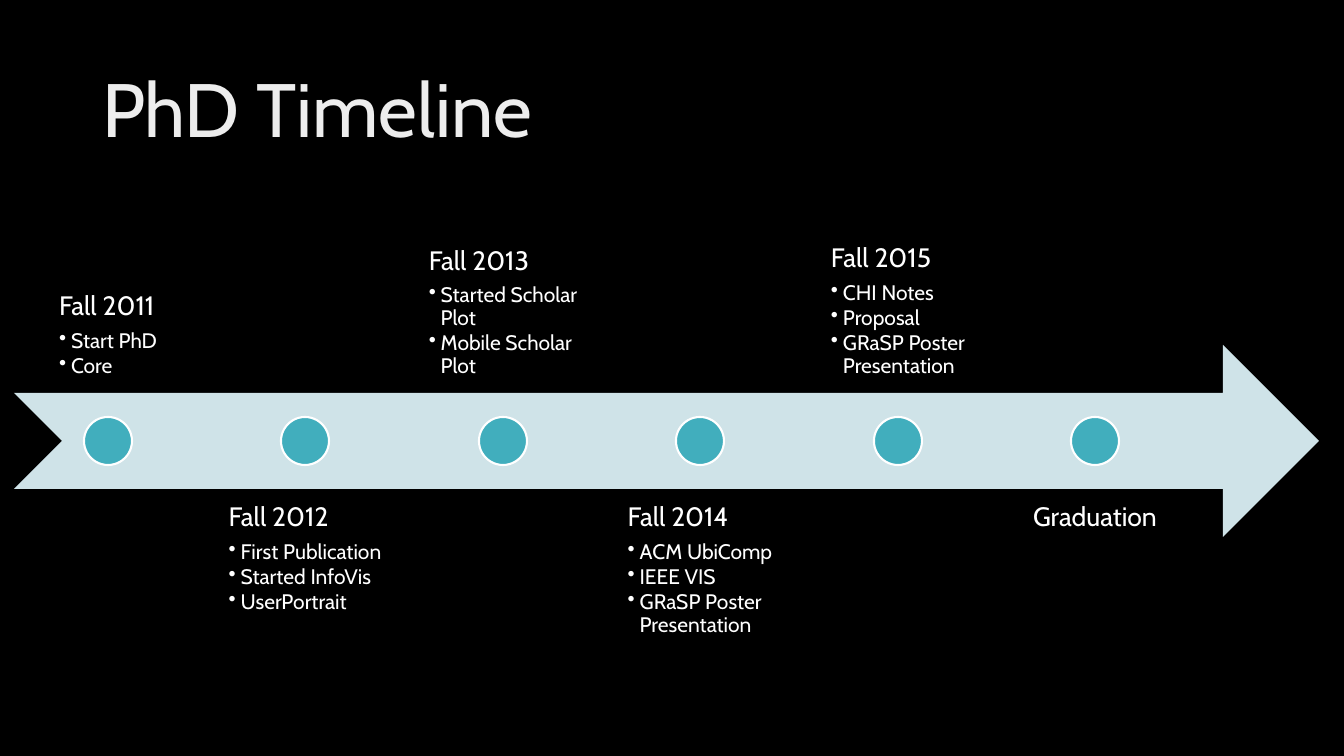
from dataclasses import dataclass

from lxml import etree
from pptx import Presentation
from pptx.dml.color import RGBColor
from pptx.enum.shapes import MSO_SHAPE
from pptx.enum.text import MSO_ANCHOR, MSO_AUTO_SIZE, PP_ALIGN
from pptx.oxml.ns import qn
from pptx.util import Emu, Pt

ARROW = MSO_SHAPE.NOTCHED_RIGHT_ARROW
CIRCLE = MSO_SHAPE.OVAL
TOP, MIDDLE, BOTTOM = MSO_ANCHOR.TOP, MSO_ANCHOR.MIDDLE, MSO_ANCHOR.BOTTOM
LEFT = PP_ALIGN.LEFT
NO_FIT = MSO_AUTO_SIZE.NONE

TITLE_ONLY = 5
PX_PER_INCH = 100.8
SLIDE_WIDTH, SLIDE_HEIGHT = 1344, 756
ARROW_LEFT, ARROW_WIDTH, ARROW_HEIGHT = 14, 1305, 192
AXIS_Y = 441
HALF_SHAFT = ARROW_HEIGHT // 4
FIRST_DOT_X, LAST_DOT_X, DOT_SIZE = 108, 1095, 48
LABEL_WIDTH, LABEL_HEIGHT, LABEL_INSET = 188, 192, 15
BULLET_INDENT = 12


@dataclass(frozen=True)
class Theme:
    font: str = "Cabin"
    background: RGBColor = RGBColor(0x00, 0x00, 0x00)
    title: RGBColor = RGBColor(0xED, 0xED, 0xED)
    text: RGBColor = RGBColor(0xFF, 0xFF, 0xFF)
    arrow: RGBColor = RGBColor(0xCF, 0xE3, 0xE8)
    dot: RGBColor = RGBColor(0x41, 0xAE, 0xBD)
    title_size: float = 54
    heading_size: float = 19
    item_size: float = 15
    heading_gap: float = 6
    item_gap: float = 1.8
    dot_line: float = 1.5


@dataclass(frozen=True)
class Milestone:
    heading: str
    items: tuple[str, ...] = ()


THEME = Theme()
MILESTONES = (
    Milestone("Fall 2011", ("Start PhD", "Core")),
    Milestone("Fall 2012", ("First Publication", "Started InfoVis", "UserPortrait")),
    Milestone("Fall 2013", ("Started Scholar Plot", "Mobile Scholar Plot")),
    Milestone("Fall 2014", ("ACM UbiComp", "IEEE VIS", "GRaSP Poster Presentation")),
    Milestone("Fall 2015", ("CHI Notes", "Proposal", "GRaSP Poster Presentation")),
    Milestone("Graduation"),
)


def px(length: int) -> Emu:
    return Emu(round(length * 914400 / PX_PER_INCH))


def write(paragraph, text: str, *, size: float, color: RGBColor,
          gap: float = 0, bullet: bool = False) -> None:
    if bullet:
        paragraph.level = 1
        properties = paragraph._p.get_or_add_pPr()
        properties.set("marL", str(px(BULLET_INDENT)))
        properties.set("indent", str(-px(BULLET_INDENT)))
        etree.SubElement(properties, qn("a:buChar")).set("char", "•")
    paragraph.alignment = LEFT
    paragraph.line_spacing = 0.9
    paragraph.space_before = Pt(0)
    paragraph.space_after = Pt(gap)
    run = paragraph.add_run()
    run.text = text
    run.font.name = THEME.font
    run.font.size = Pt(size)
    run.font.color.rgb = color


def draw_title(slide, text: str) -> None:
    title = slide.shapes.title
    title.left, title.top, title.width, title.height = map(px, (92, 40, 1159, 146))
    frame = title.text_frame
    frame.auto_size = NO_FIT
    frame.vertical_anchor = MIDDLE
    write(frame.paragraphs[0], text, size=THEME.title_size, color=THEME.title)


def draw_shape(slide, preset, left: int, top: int, width: int, height: int,
               fill: RGBColor, line_width: float = 0) -> None:
    shape = slide.shapes.add_shape(preset, px(left), px(top), px(width), px(height))
    shape.shadow.inherit = False
    shape.fill.solid()
    shape.fill.fore_color.rgb = fill
    if line_width:
        shape.line.color.rgb = THEME.text
        shape.line.width = Pt(line_width)
    else:
        shape.line.fill.background()


def draw_milestone(slide, milestone: Milestone, center_x: int, above: bool) -> None:
    top = AXIS_Y - HALF_SHAFT - LABEL_HEIGHT if above else AXIS_Y + HALF_SHAFT
    label = slide.shapes.add_textbox(px(center_x - LABEL_WIDTH // 2), px(top),
                                     px(LABEL_WIDTH), px(LABEL_HEIGHT))
    frame = label.text_frame
    frame.word_wrap = True
    frame.auto_size = NO_FIT
    frame.vertical_anchor = BOTTOM if above else TOP
    frame.margin_left = frame.margin_right = px(LABEL_INSET)
    frame.margin_top = frame.margin_bottom = px(LABEL_INSET)
    frame._txBody.bodyPr.set("anchorCtr", "1")
    write(frame.paragraphs[0], milestone.heading, size=THEME.heading_size,
          color=THEME.text, gap=THEME.heading_gap)
    for item in milestone.items:
        write(frame.add_paragraph(), item, size=THEME.item_size,
              color=THEME.text, gap=THEME.item_gap, bullet=True)
    draw_shape(slide, CIRCLE, center_x - DOT_SIZE // 2, AXIS_Y - DOT_SIZE // 2,
               DOT_SIZE, DOT_SIZE, THEME.dot, THEME.dot_line)


def main() -> None:
    deck = Presentation()
    deck.slide_width, deck.slide_height = px(SLIDE_WIDTH), px(SLIDE_HEIGHT)
    slide = deck.slides.add_slide(deck.slide_layouts[TITLE_ONLY])
    slide.background.fill.solid()
    slide.background.fill.fore_color.rgb = THEME.background

    draw_title(slide, "PhD Timeline")
    draw_shape(slide, ARROW, ARROW_LEFT, AXIS_Y - ARROW_HEIGHT // 2,
               ARROW_WIDTH, ARROW_HEIGHT, THEME.arrow)
    step = (LAST_DOT_X - FIRST_DOT_X) / (len(MILESTONES) - 1)
    for index, milestone in enumerate(MILESTONES):
        center_x = FIRST_DOT_X + round(index * step)
        draw_milestone(slide, milestone, center_x, above=index % 2 == 0)

    deck.save("out.pptx")


if __name__ == "__main__":
    main()
